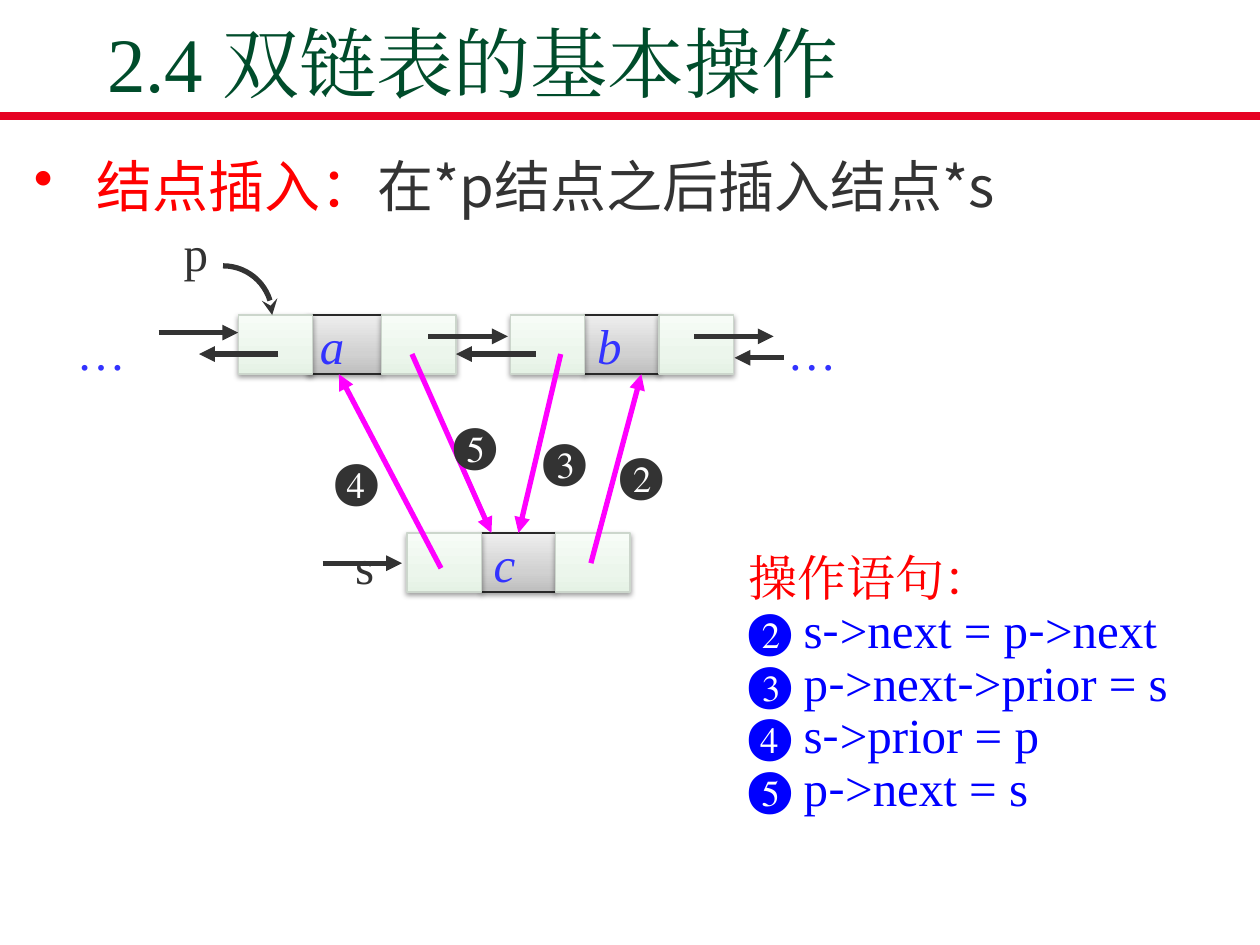
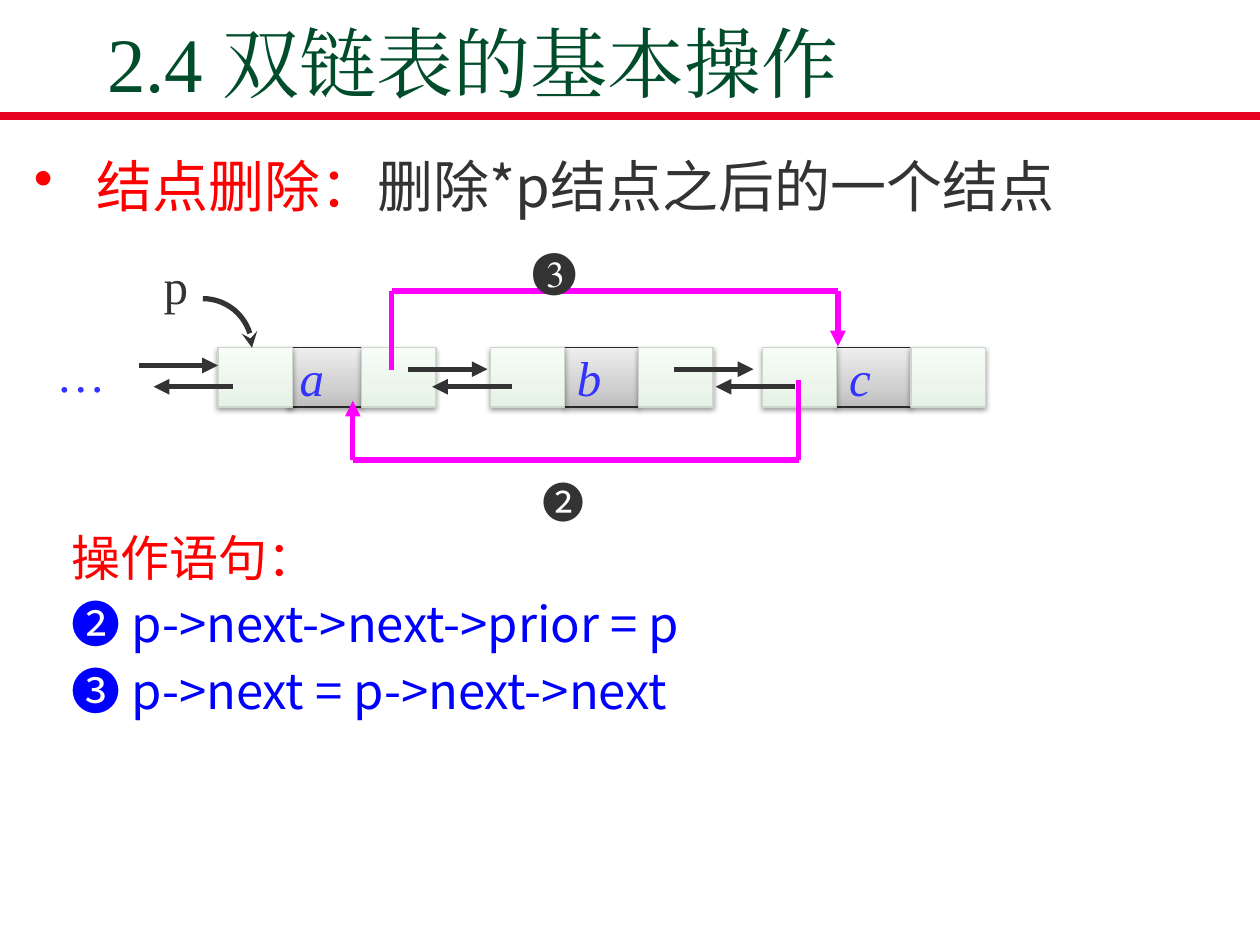
from dataclasses import dataclass
from itertools import pairwise
from math import cos, pi, sin

from lxml.etree import SubElement
from pptx import Presentation
from pptx.dml.color import RGBColor
from pptx.enum.shapes import MSO_CONNECTOR as CONNECTOR, MSO_SHAPE as SHAPE
from pptx.enum.text import MSO_ANCHOR as ANCHOR, MSO_AUTO_SIZE as FIT, PP_ALIGN as ALIGN
from pptx.oxml.ns import qn
from pptx.slide import Slide
from pptx.util import Inches, Pt

SLIDE_W, SLIDE_H = Inches(10), Inches(7.5)
COL, ROW = SLIDE_W / 100, SLIDE_H / 75
SERIF, SANS = "Times New Roman", "Noto Sans CJK SC"
COLOURS = {
    "rule": "E60223", "title": "004C2B", "ink": "333333", "topic": "FF0000",
    "code": "0000FF", "letter": "3333FF", "link": "FF00FF", "shadow": "000000",
    "data_edge": "292929", "pointer_edge": "CCD6CC",
}
# Gradient stops: position in percent, colour
DATA_FILL = [(0, "BEBEBE"), (35, "D1D1D1"), (100, "EEEEEE")]
POINTER_FILL = [(0, "E5F2E5"), (35, "ECF6EC"), (100, "F7FCF7")]

# Lengths of the linked list, in columns and rows
CELL_W, CELL_H = 5.9, 4.7
NODE_PITCH = 21.6
ARROW = 6.3
LABEL_W, LABEL_H = 4.7, 5.7


@dataclass
class Region:
    """A part of a slide; its parts are placed from its left top corner."""
    slide: Slide
    left: float
    top: float
    width: float = 0
    height: float = 0

    def x(self, col):
        return round((self.left + col) * COL)

    def y(self, row):
        return round((self.top + row) * ROW)

    def frame(self, col, row, width, height):
        return self.x(col), self.y(row), round(width * COL), round(height * ROW)

    def inner(self, col, row):
        return Region(self.slide, self.left + col, self.top + row)


def rgb(name):
    return RGBColor.from_string(COLOURS[name])


def set_face(font, face):
    """Use one face for both Latin and East Asian text."""
    font.name = face
    SubElement(font._rPr, qn("a:ea")).set("typeface", face)


def set_font(font, size, colour, face=SERIF):
    font.size = Pt(size)
    font.color.rgb = rgb(colour)
    set_face(font, face)


def add_text_frame(region, col, row, width, height):
    text = region.slide.shapes.add_textbox(*region.frame(col, row, width, height)).text_frame
    text.word_wrap = True
    text.auto_size = FIT.SHAPE_TO_FIT_TEXT
    return text


def add_label(region, col, row, label, colour="ink", width=LABEL_W, size=28, face=SERIF):
    paragraph = add_text_frame(region, col, row, width, LABEL_H).paragraphs[0]
    paragraph.text = label
    set_font(paragraph.font, size, colour, face)


def style_line(shape, colour, width, head=None):
    shape.line.color.rgb = rgb(colour)
    shape.line.width = Pt(width)
    if head:
        SubElement(shape.line._get_or_add_ln(), qn("a:tailEnd")).set("type", head)


def add_line(region, start, end, colour="ink", width=3, head="triangle"):
    line = region.slide.shapes.add_connector(
        CONNECTOR.STRAIGHT, region.x(start[0]), region.y(start[1]),
        region.x(end[0]), region.y(end[1]))
    style_line(line, colour, width, head)
    SubElement(line._element.spPr, qn("a:effectLst"))
    return line


def add_path(region, *corners):
    """Draw a bent link with its arrowhead on the last piece."""
    for start, end in pairwise(corners):
        add_line(region, start, end, "link", head="triangle" if end == corners[-1] else None)


def add_cell(region, col, stops, edge):
    cell = region.slide.shapes.add_shape(SHAPE.RECTANGLE, *region.frame(col, 0, CELL_W, CELL_H))
    cell.fill.gradient()
    cell.fill.gradient_angle = 90
    properties = cell._element.spPr
    stop_list = properties.find(qn("a:gradFill")).find(qn("a:gsLst"))
    stop_list.clear()
    for position, colour in stops:
        stop = SubElement(stop_list, qn("a:gs"), pos=str(position * 1000))
        SubElement(stop, qn("a:srgbClr"), val=colour)
    style_line(cell, edge, 0.75)
    cell.shadow.inherit = False
    shadow = SubElement(
        properties.find(qn("a:effectLst")), qn("a:outerShdw"), blurRad=str(Pt(3.1)),
        dist=str(Pt(1.6)), dir="5400000", rotWithShape="0")
    tint = SubElement(shadow, qn("a:srgbClr"), val=COLOURS["shadow"])
    SubElement(tint, qn("a:alpha"), val="38000")
    return cell


def add_node(region, letter, overlap=0):
    """Draw the prior, data and next cells; return the data cell."""
    data_col = CELL_W - overlap
    data = add_cell(region, data_col, DATA_FILL, "data_edge")
    add_cell(region, data_col + CELL_W, POINTER_FILL, "pointer_edge")
    add_cell(region, 0, POINTER_FILL, "pointer_edge")
    text = data.text_frame
    text.word_wrap = False
    text.vertical_anchor = ANCHOR.MIDDLE
    paragraph = text.paragraphs[0]
    paragraph.text = letter
    paragraph.alignment = ALIGN.LEFT
    paragraph.font.italic = True
    set_font(paragraph.font, 28, "letter")
    return data


def add_head_pointer(region):
    """Draw p and its quarter-circle arrow to the first node."""
    radius, centre_col, steps = 3.9, -1.2, 16
    turns = [pi / 2 * step / steps for step in range(steps + 1)]
    arc = [(region.x(centre_col + radius * sin(turn)), region.y(-radius * cos(turn)))
           for turn in turns]
    outline = region.slide.shapes.build_freeform(*arc[0], scale=1)
    outline.add_line_segments(arc[1:], close=False)
    curve = outline.convert_to_shape()
    curve.fill.background()
    curve.shadow.inherit = False
    style_line(curve, "ink", 3, "stealth")
    add_label(region, -5.3, -7.8, "p")


def add_chain(region, letters, back_starts, ellipsis_row):
    """Draw a doubly linked row; back_starts lists where the prior arrows begin."""
    for index, letter in enumerate(letters):
        add_node(region.inner(index * NODE_PITCH, 0), letter, 0 if index else 0.4)
    add_line(region, (-ARROW, 1.4), (0, 1.4))
    for start in (15.1, 36.2):
        add_line(region, (start, 1.7), (start + ARROW, 1.7))
    for start in back_starts:
        add_line(region, (start, 3.1), (start - ARROW, 3.1))
    add_head_pointer(region)
    add_label(region, -13.8, ellipsis_row, "…", "letter", 6.3)


def add_insertion(region):
    """Draw the row a, b with the new node c below and its four links."""
    add_chain(region, "ab", (3.2, 23.6), 0)
    add_line(region, (43.3, 3.4), (39.4, 3.4))
    add_label(region, 42.6, 0, "…", "letter", 6.3)
    new_row = 17.3
    new_data = add_node(region.inner(13.4, new_row), "c")
    add_line(region, (6.7, 19.7), (13, 19.7))
    add_label(region, 8.3, 17, "s")
    links = [
        ("❷", (28, 19.7), (32, CELL_H), (29.3, 9.7)),
        ("❸", (25.6, 3.1), (22.4, new_row), (23.2, 8.6)),
        ("❹", (16.1, 20.1), (8, CELL_H), (6.7, 10.2)),
        ("❺", (13.8, 3.1), (20.1, new_row), (16.1, 7.3)),
    ]
    for number, start, end, place in links:
        link = add_line(region, start, end, "link")
        if number == "❸":
            link.end_connect(new_data, 0)
        add_label(region, *place, number)


def add_deletion(region):
    """Draw the row a, b, c with the two links that bypass b."""
    add_chain(region, "abc", (1.2, 23.3, 45.8), -0.8)
    add_label(region, 24.8, 9.7, "❷", size=24, face=SANS)
    add_path(region, (46.1, 2.6), (46.1, 8.9), (10.7, 8.9), (10.7, 4.2))
    add_path(region, (13.8, 1.8), (13.8, -4.5), (49.2, -4.5), (49.2, -0.1))
    add_label(region, 24, -9.2, "❸")


def add_statements(region, statements, face, pitch, mixed_dash=False):
    """List the statements; mixed_dash sets each dash in the sans face."""
    text = add_text_frame(region, 0, 0, region.width, region.height)
    heading = text.paragraphs[0]
    heading.text = "操作语句："
    heading.line_spacing = Pt(16)
    set_font(heading.font, 28, "topic", face)
    for statement in statements:
        paragraph = text.add_paragraph()
        paragraph.line_spacing = Pt(pitch)
        paragraph.space_before = Pt(14)
        set_font(paragraph.font, 28, "code", face)
        if not mixed_dash:
            paragraph.text = statement
            continue
        for index, piece in enumerate(statement.split("-")):
            if index:
                dash = paragraph.add_run()
                dash.text = "-"
                set_face(dash.font, SANS)
            paragraph.add_run().text = piece


def add_topic(region, topic, detail):
    paragraph = add_text_frame(region, 0, 0, region.width, region.height).paragraphs[0]
    properties = paragraph._p.get_or_add_pPr()
    properties.set("marL", str(Inches(0.5)))
    properties.set("indent", str(-Inches(0.5)))
    bullet_colour = SubElement(properties, qn("a:buClr"))
    SubElement(bullet_colour, qn("a:srgbClr"), val=COLOURS["topic"])
    SubElement(properties, qn("a:buChar"), char="•")
    paragraph.font.size = Pt(32)
    set_face(paragraph.font, SANS)
    for words, colour in ((topic, "topic"), (detail, "ink")):
        run = paragraph.add_run()
        run.text = words
        run.font.color.rgb = rgb(colour)


def add_operation_slide(deck, topic, detail):
    """Add a slide with the shared title, rule and topic line."""
    slide = deck.slides.add_slide(deck.slide_layouts[5])
    page = Region(slide, 0, 0)
    add_line(page, (0, 9.2), (100, 9.2), "rule", 4.5, None)
    title = slide.shapes.title
    title.left, title.top, title.width, title.height = page.frame(7.5, 2.6, 89.6, 6.5)
    text = title.text_frame
    text.text = "2.4 双链表的基本操作"
    text.auto_size = FIT.NONE
    text.vertical_anchor = ANCHOR.BOTTOM
    text.paragraphs[0].alignment = ALIGN.LEFT
    set_font(text.paragraphs[0].font, 44, "title")
    add_topic(Region(slide, 1.7, 11.5, 96.9, 6.4), topic, detail)
    return slide


def main():
    deck = Presentation()
    deck.slide_width, deck.slide_height = SLIDE_W, SLIDE_H

    insertion = add_operation_slide(deck, "结点插入：", "在*p结点之后插入结点*s")
    add_statements(
        Region(insertion, 58.4, 45.4, 40.5, 22),
        ["❷ s->next = p->next", "❸ p->next->prior = s", "❹ s->prior = p", "❺ p->next = s"],
        SERIF, 16, mixed_dash=True)
    add_insertion(Region(insertion, 18.9, 25))

    deletion = add_operation_slide(deck, "结点删除：", "删除*p结点之后的一个结点")
    add_statements(
        Region(deletion, 4.7, 43.8, 55.3, 14.7),
        ["❷ p->next->next->prior = p", "❸ p->next = p->next->next"], SANS, 24)
    add_deletion(Region(deletion, 17.3, 27.6))

    deck.save("out.pptx")


if __name__ == "__main__":
    main()
